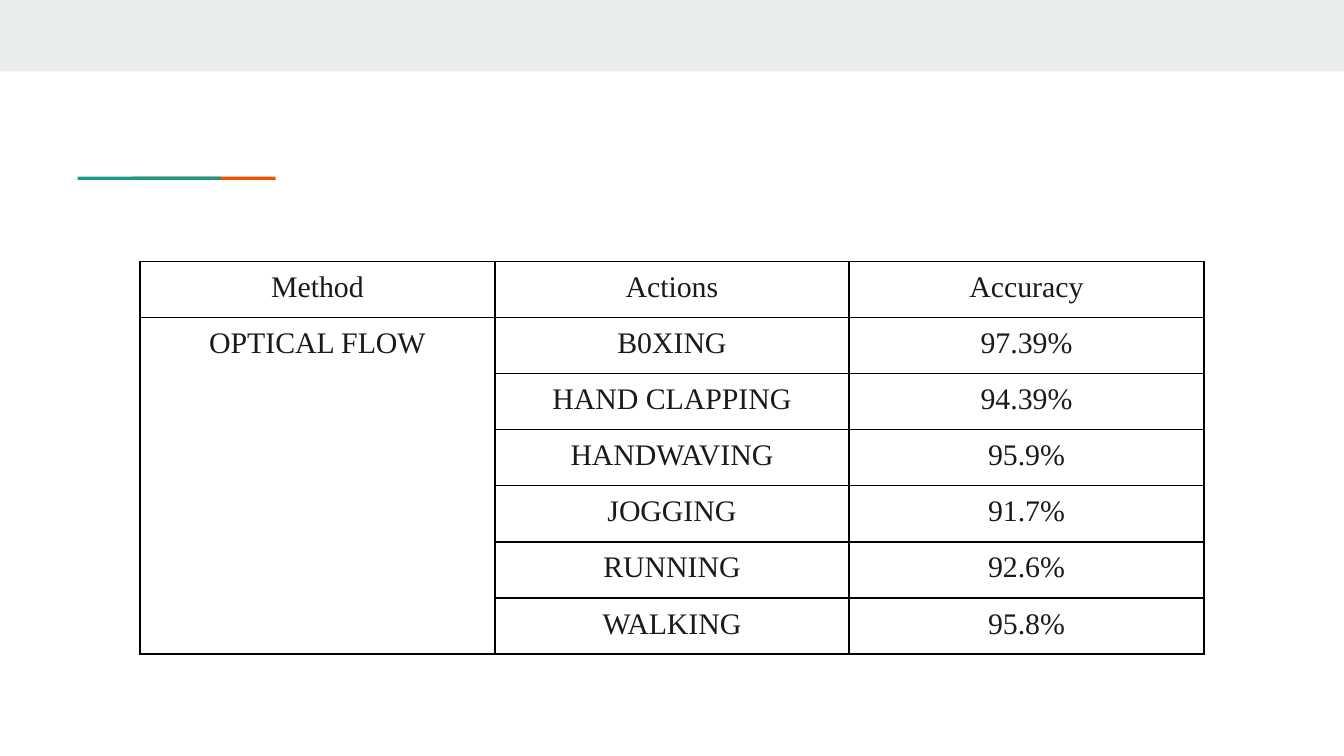
from lxml.etree import SubElement
from pptx import Presentation
from pptx.dml.color import RGBColor
from pptx.enum.shapes import MSO_SHAPE as Shape
from pptx.enum.text import PP_ALIGN as Align
from pptx.oxml.ns import qn
from pptx.util import Cm, Pt

BANNER = RGBColor(0xE9, 0xED, 0xEE)
ORANGE = RGBColor(0xEB, 0x56, 0x00)
TEAL = RGBColor(0x1A, 0x99, 0x88)
INK = RGBColor(0x1A, 0x1A, 0x1A)
BORDER = RGBColor(0, 0, 0)


def write_text(cell, text, font="Times New Roman", size=16, color=INK, align=Align.CENTER):
    para = cell.text_frame.paragraphs[0]
    para.alignment = align
    span = para.add_run()
    span.text = text
    span.font.name = font
    span.font.size = Pt(size)
    span.font.color.rgb = color


def add_borders(cell, color=BORDER, width=1):
    properties = cell._tc.get_or_add_tcPr()
    for side in ("lnL", "lnR", "lnT", "lnB"):
        line = SubElement(properties, qn(f"a:{side}"), w=str(Pt(width)))
        fill = SubElement(line, qn("a:solidFill"))
        SubElement(fill, qn("a:srgbClr"), val=str(color))


deck = Presentation()
deck.slide_width = Cm(25.4)
deck.slide_height = Cm(14.29)
page = deck.slides.add_slide(deck.slide_layouts[6])

bars = [
    (0, 0, 25.4, 1.35, BANNER),
    (2.51, 3.34, 2.7, 0.06, ORANGE),
    (1.47, 3.34, 2.7, 0.06, TEAL),
]
for left, top, width, height, color in bars:
    bar = page.shapes.add_shape(Shape.RECTANGLE, Cm(left), Cm(top), Cm(width), Cm(height))
    bar.shadow.inherit = False
    bar.fill.solid()
    bar.fill.fore_color.rgb = color
    bar.line.fill.background()

rows = [
    ("Method", "Actions", "Accuracy"),
    ("OPTICAL FLOW", "B0XING", "97.39%"),
    ("", "HAND CLAPPING", "94.39%"),
    ("", "HANDWAVING", "95.9%"),
    ("", "JOGGING", "91.7%"),
    ("", "RUNNING", "92.6%"),
    ("", "WALKING", "95.8%"),
]
column_width, row_height = 6.7, 1.06
frame = page.shapes.add_table(
    len(rows), 3, Cm(2.65), Cm(4.94), Cm(3 * column_width), Cm(len(rows) * row_height)
)
table = frame.table
table.first_row = False
table.horz_banding = False
for column in table.columns:
    column.width = Cm(column_width)

for row, texts in zip(table.rows, rows):
    row.height = Cm(row_height)
    for cell, text in zip(row.cells, texts):
        cell.margin_left = cell.margin_right = Cm(0.18)
        cell.margin_top = cell.margin_bottom = Cm(0.18)
        add_borders(cell)
        cell.fill.background()
        if text:
            write_text(cell, text)
table.cell(1, 0).merge(table.cell(len(rows) - 1, 0))

deck.save("out.pptx")
